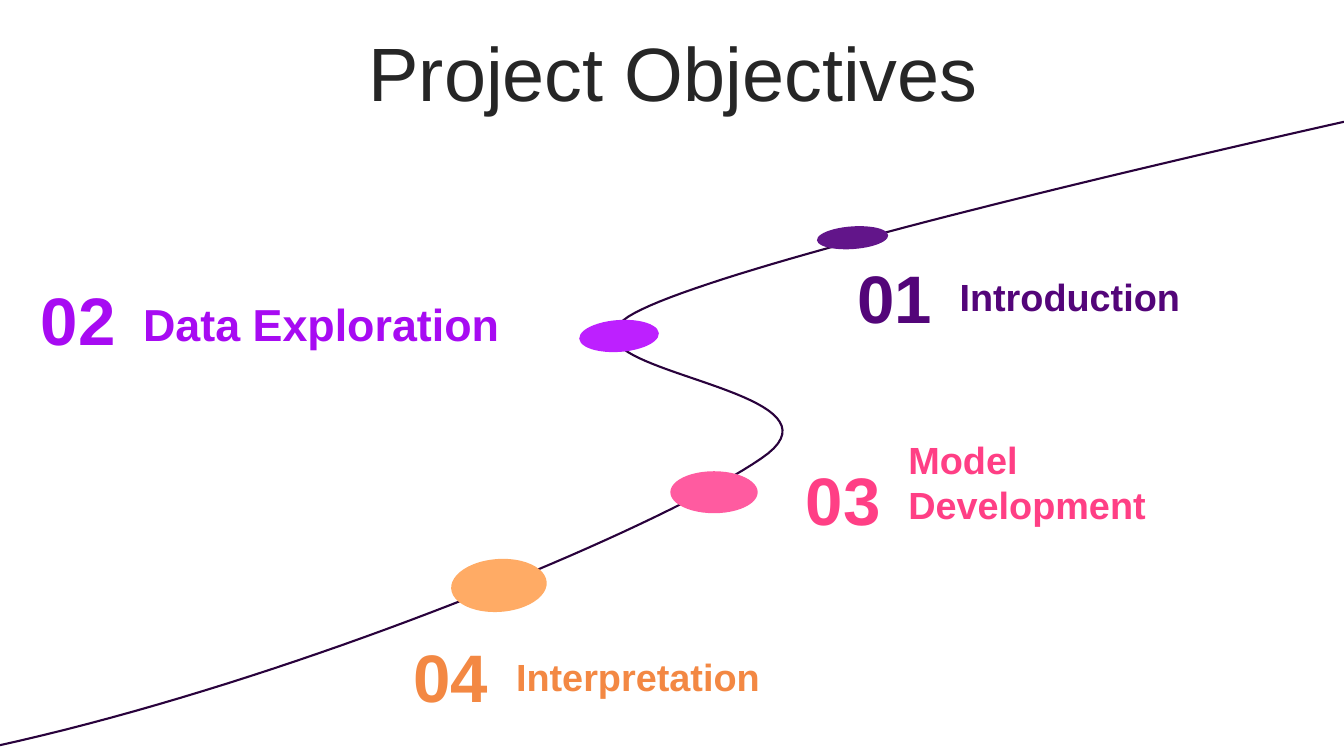
import pptx
import pptx.dml.color
import pptx.enum.shapes
import pptx.enum.text
import pptx.util

COLUMNS, ROWS = 16, 9
SLIDE_WIDTH = pptx.util.Inches(13.33)
SLIDE_HEIGHT = pptx.util.Inches(7.5)
FONT = "Arial"
CURVE_STEPS = 40
NUMBER_WIDTH, NUMBER_HEIGHT = 1.26, 1.09

COLORS = {
    "title": "262626",
    "road": "29023C",
    "introduction": "530579",
    "introduction_stop": "62158A",
    "exploration": "A70BF2",
    "exploration_stop": "BD20FF",
    "development": "FF3F85",
    "development_stop": "FF5BA0",
    "interpretation": "F38843",
    "interpretation_stop": "FFAB65",
}

ROAD_START = (-0.04, 8.88)
ROAD_CURVES = [
    ((3.52, 8.1), (7.81, 6.31), (9.06, 5.46)),
    ((10.32, 4.61), (6.47, 4.43), (7.48, 3.77)),
    ((8.33, 3.23), (13.33, 2.05), (16, 1.45)),
]

# number, label, color, number corner, label top/width/height/size, stop center/size/tilt
OBJECTIVES = [
    ("01", "Introduction", "introduction", (10.02, 2.99),
     (3.2, 4.15, 0.67, 27), (10.15, 2.83, 0.85, 0.27, -4)),
    ("02", "Data Exploration", "exploration", (0.3, 3.26),
     (3.47, 5.77, 0.77, 32), (7.37, 4, 0.95, 0.38, -4)),
    ("03", "Model Development", "development", (9.41, 5.4),
     (5.14, 4.15, 1.21, 27), (8.5, 5.86, 1.04, 0.5, 0)),
    ("04", "Interpretation", "interpretation", (4.74, 7.5),
     (7.72, 4.15, 0.67, 27), (5.94, 6.97, 1.14, 0.63, -4)),
]


def across(columns):
    return round(SLIDE_WIDTH * columns / COLUMNS)


def down(rows):
    return round(SLIDE_HEIGHT * rows / ROWS)


def rgb(name):
    return pptx.dml.color.RGBColor.from_string(COLORS[name])


def add_text(slide, box, text, size, color, bold=True, centered=False, side_inset=0.12):
    left, top, width, height = box
    shape = slide.shapes.add_textbox(across(left), down(top), across(width), down(height))
    frame = shape.text_frame
    frame.word_wrap = True
    frame.margin_left = frame.margin_right = pptx.util.Inches(side_inset)
    frame.margin_top = frame.margin_bottom = pptx.util.Inches(0.05)
    paragraph = frame.paragraphs[0]
    alignments = pptx.enum.text.PP_ALIGN
    paragraph.alignment = alignments.CENTER if centered else alignments.LEFT
    run = paragraph.add_run()
    run.text = text
    run.font.name = FONT
    run.font.size = pptx.util.Pt(size)
    run.font.bold = bold
    run.font.color.rgb = rgb(color)
    return frame


def add_title(slide, text):
    frame = add_text(slide, (0.42, 0.44, 15.19, 0.95), text, 54, "title",
                     bold=False, centered=True, side_inset=0.1)
    frame.vertical_anchor = pptx.enum.text.MSO_ANCHOR.MIDDLE
    frame.paragraphs[0].line_spacing = 0.9
    frame.paragraphs[0].space_before = pptx.util.Pt(10)


def curve_point(start, first, second, end, t):
    u = 1 - t
    column, row = (
        u**3 * a + 3 * u**2 * t * b + 3 * u * t**2 * c + t**3 * d
        for a, b, c, d in zip(start, first, second, end)
    )
    return across(column), down(row)


def add_road(slide):
    points = []
    start = ROAD_START
    for first, second, end in ROAD_CURVES:
        points += [curve_point(start, first, second, end, step / CURVE_STEPS)
                   for step in range(1, CURVE_STEPS + 1)]
        start = end
    builder = slide.shapes.build_freeform(across(ROAD_START[0]), down(ROAD_START[1]))
    builder.add_line_segments(points, close=False)
    road = builder.convert_to_shape()
    road.shadow.inherit = False
    road.fill.background()
    road.line.color.rgb = rgb("road")
    road.line.width = pptx.util.Pt(1.5)


def add_stop(slide, stop, color):
    center_column, center_row, width, height, tilt = stop
    shape = slide.shapes.add_shape(
        pptx.enum.shapes.MSO_SHAPE.OVAL,
        across(center_column - width / 2), down(center_row - height / 2),
        across(width), down(height))
    shape.rotation = tilt
    shape.shadow.inherit = False
    shape.fill.solid()
    shape.fill.fore_color.rgb = rgb(color)
    shape.line.fill.background()


def add_objective(slide, number, label, color, corner, label_box, stop):
    left, top = corner
    label_top, label_width, label_height, label_size = label_box
    add_stop(slide, stop, color + "_stop")
    add_text(slide, (left + NUMBER_WIDTH, label_top, label_width, label_height),
             label, label_size, color)
    add_text(slide, (left, top, NUMBER_WIDTH, NUMBER_HEIGHT), number, 48, color,
             centered=True)


def main():
    presentation = pptx.Presentation()
    presentation.slide_width = SLIDE_WIDTH
    presentation.slide_height = SLIDE_HEIGHT
    slide = presentation.slides.add_slide(presentation.slide_layouts[6])
    add_title(slide, "Project Objectives")
    add_road(slide)
    for objective in OBJECTIVES:
        add_objective(slide, *objective)
    presentation.save("out.pptx")


if __name__ == "__main__":
    main()
